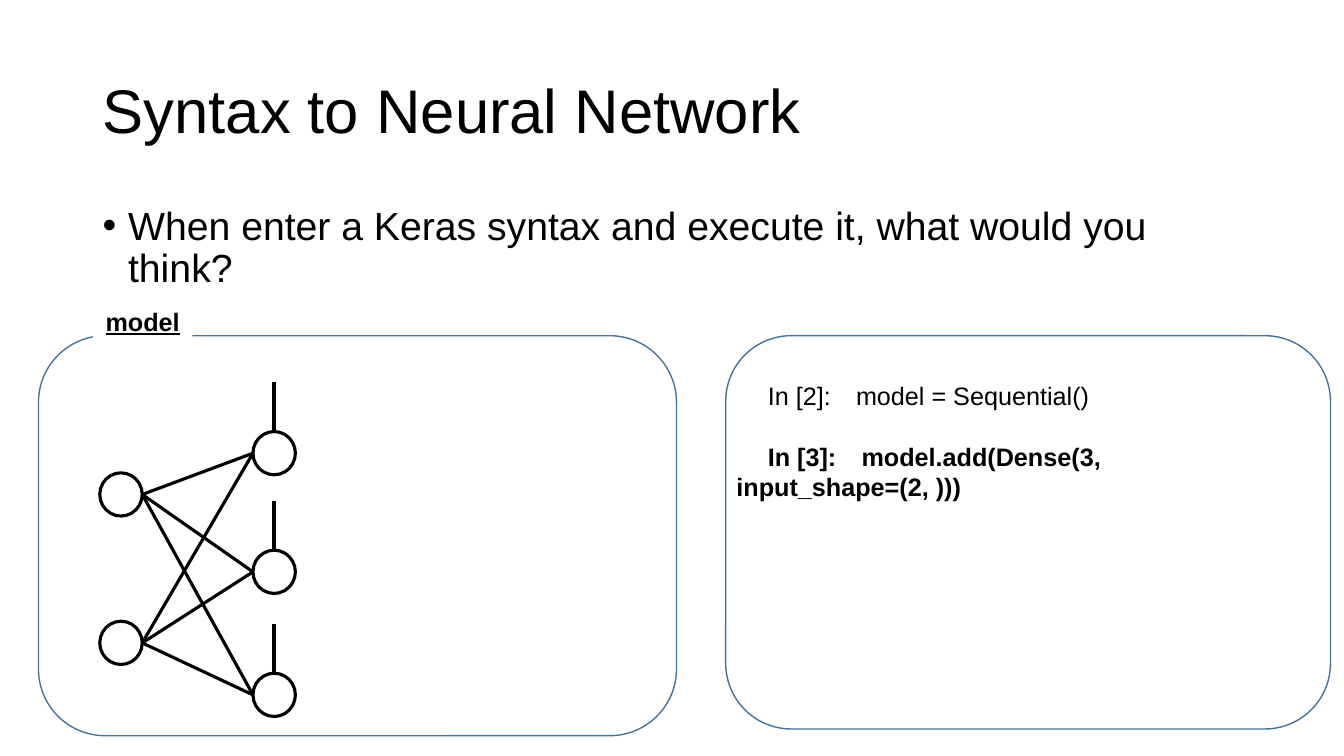
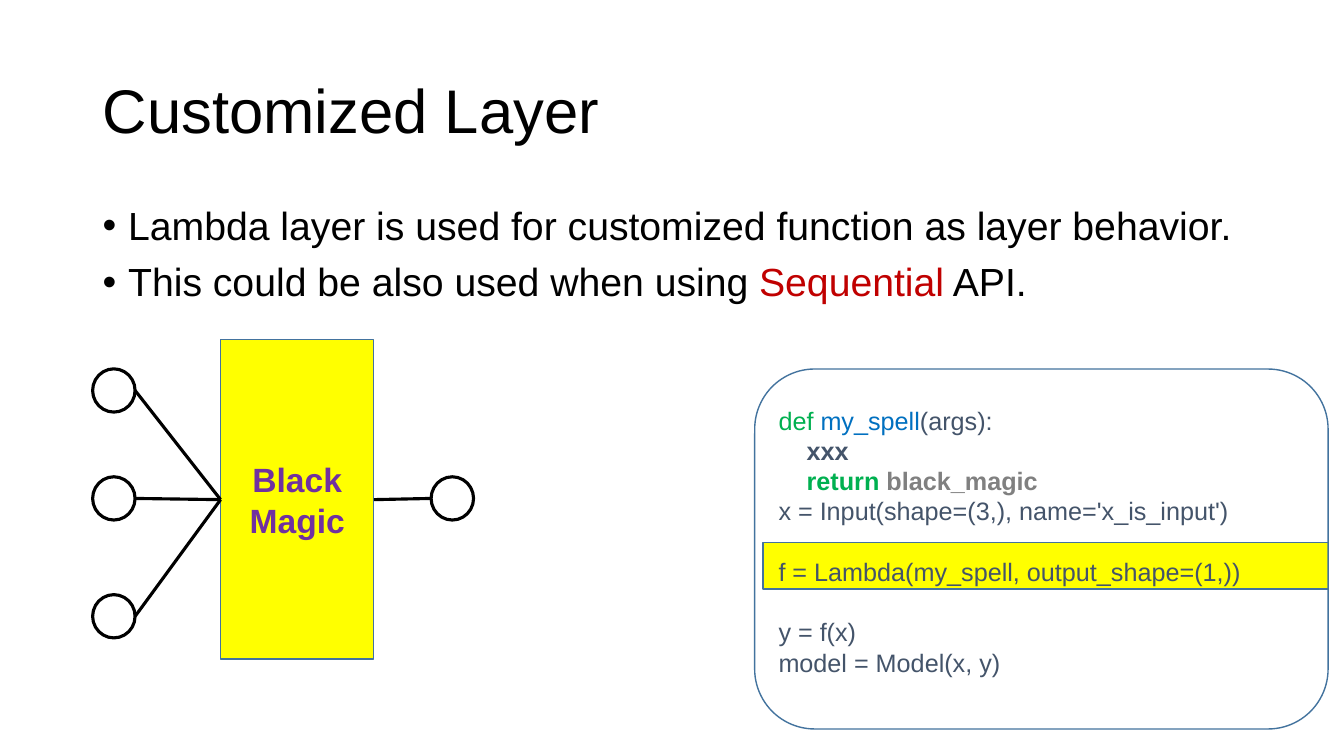
"""Build two slides on network syntax and customized layers."""
from itertools import product
from lxml.etree import SubElement
from pptx import Presentation
from pptx.dml.color import RGBColor
from pptx.enum.shapes import MSO_CONNECTOR as LINE, MSO_SHAPE as KIND
from pptx.enum.text import MSO_ANCHOR as ANCHOR, PP_ALIGN as ALIGN
from pptx.oxml.ns import qn
from pptx.util import Cm, Pt

BLACK = RGBColor(0, 0, 0)
WHITE = RGBColor(255, 255, 255)
EDGE = RGBColor(0x43, 0x73, 0x9E)
YELLOW = RGBColor(255, 255, 0)
PURPLE = RGBColor(0x70, 0x30, 0xA0)
RED = RGBColor(0xC0, 0, 0)
GREEN = RGBColor(0, 0xB0, 0x50)
BLUE = RGBColor(0, 0x70, 0xC0)
SLATE = RGBColor(0x44, 0x54, 0x6A)
GREY = RGBColor(0x80, 0x80, 0x80)
FONT = "Arial"
NODE_W, NODE_H = 1.07, 1.09
STEM = 1.24
ROW = 21.6


def draw(slide, kind, box, fill=None, edge=None, width=1):
    """Add a preset shape with a plain fill and outline."""
    shape = slide.shapes.add_shape(kind, *map(Cm, box))
    shape.shadow.inherit = False
    if fill is None:
        shape.fill.background()
    else:
        shape.fill.solid()
        shape.fill.fore_color.rgb = fill
    if edge is None:
        shape.line.fill.background()
    else:
        shape.line.color.rgb = edge
        shape.line.width = Pt(width)
    return shape


def write(shape, rows, size, align=ALIGN.LEFT):
    """Fill a shape with rows of (text, colour, bold) runs."""
    frame = shape.text_frame
    frame.word_wrap = True
    frame.text = "\n".join("" for row in rows)
    for para, row in zip(frame.paragraphs, rows):
        para.alignment = align
        for text, color, bold in row:
            run = para.add_run()
            run.text = text
            run.font.name = FONT
            run.font.size = Pt(size)
            run.font.bold = bold
            run.font.color.rgb = color
    return frame


deck = Presentation()
deck.slide_width, deck.slide_height = Cm(33.87), Cm(19.05)

pages = [
    ("Syntax to Neural Network", [
        [("When enter a Keras syntax and execute it, what would you think?", BLACK, False)],
    ]),
    ("Customized Layer", [
        [("Lambda layer is used for customized function as layer behavior.", BLACK, False)],
        [("This could be also used when using ", BLACK, False),
         ("Sequential", RED, False), (" API.", BLACK, False)],
    ]),
]
slides = []
for title, points in pages:
    slide = deck.slides.add_slide(deck.slide_layouts[6])
    slides.append(slide)
    head = slide.shapes.add_textbox(Cm(2.34), Cm(1.02), Cm(29.21), Cm(3.68))
    frame = write(head, [[(title, BLACK, False)]], 44)
    frame.vertical_anchor = ANCHOR.MIDDLE
    frame.paragraphs[0].line_spacing = 0.9
    body = slide.shapes.add_textbox(Cm(2.34), Cm(5.08), Cm(29.21), Cm(12.09))
    for para in write(body, points, 28).paragraphs:
        para.line_spacing = 0.9
        para.space_before = Pt(10)
        props = para._p.get_or_add_pPr()
        props.set("marL", str(Cm(0.64)))
        props.set("indent", str(Cm(-0.64)))
        SubElement(props, qn("a:buFont")).set("typeface", FONT)
        SubElement(props, qn("a:buChar")).set("char", "•")
dense, custom = slides

draw(dense, KIND.ROUNDED_RECTANGLE, (18.29, 8.46, 15.24, 9.91), WHITE, EDGE)
draw(dense, KIND.ROUNDED_RECTANGLE, (0.97, 8.46, 16.08, 10.08), WHITE, EDGE)
draw(custom, KIND.RECTANGLE, (19.23, 13.67, 14.25, 1.17), YELLOW, EDGE)
draw(custom, KIND.ROUNDED_RECTANGLE, (19.02, 9.3, 14.45, 9.07), None, EDGE)
magic = draw(custom, KIND.RECTANGLE, (5.56, 8.56, 3.86, 8.05), YELLOW, EDGE)
frame = write(magic, [[("Black", PURPLE, True)], [("Magic", PURPLE, True)]], 24, ALIGN.CENTER)
frame.vertical_anchor = ANCHOR.MIDDLE

inputs = [(3.05, 12.46), (3.05, 16.2)]
units = [(6.91, 11.42), (6.91, 14.41), (6.91, 17.51)]
feeds = [(2.87, 9.84), (2.87, 12.56), (2.87, 15.53)]
result = (11.4, 12.56)
half = NODE_W / 2
links = [((a + half, b), (x - half, y), 2.25) for (a, b), (x, y) in product(inputs, units)]
links += [((x, y - NODE_H / 2 - STEM), (x, y - NODE_H / 2), 3) for x, y in units]
spokes = [((x + half, y), (5.56, 12.59), 2.25) for x, y in feeds]
spokes.append(((result[0] - half, result[1]), (9.42, 12.59), 2.25))

nets = [(dense, inputs + units, links), (custom, feeds + [result], spokes)]
for slide, nodes, lines in nets:
    for x, y in nodes:
        box = (x - half, y - NODE_H / 2, NODE_W, NODE_H)
        draw(slide, KIND.OVAL, box, None, BLACK, 2.25)
    for start, end, width in lines:
        link = slide.shapes.add_connector(LINE.STRAIGHT, *map(Cm, start + end))
        link.line.color.rgb = BLACK
        link.line.width = Pt(width)
        SubElement(link._element.spPr, qn("a:effectLst"))

label = draw(dense, KIND.RECTANGLE, (2.34, 7.59, 2.51, 1.02), WHITE)
frame = write(label, [[("model", BLACK, True)]], 18, ALIGN.CENTER)
frame.vertical_anchor = ANCHOR.TOP
frame.paragraphs[0].runs[0].font.underline = True

cells = [
    [("In [2]:\u3000model = Sequential()", BLACK, False)],
    [("In [3]:\u3000model.add(Dense(3, input_shape=(2, )))", BLACK, True)],
]
code = dense.shapes.add_textbox(Cm(18.31), Cm(9.47), Cm(15.19), Cm(3.33))
frame = write(code, cells, 18)
for para in frame.paragraphs:
    para._p.get_or_add_pPr().set("indent", str(Cm(0.79)))
frame.paragraphs[1].space_before = Pt(ROW)

spell = [
    (0.35, 0, [("def ", GREEN, False), ("my_spell", BLUE, False), ("(args):", SLATE, False)]),
    (1.06, 0, [("xxx", SLATE, True)]),
    (1.06, 0, [("return ", GREEN, True), ("black_magic", GREY, True)]),
    (0.35, 0, [("x = Input(shape=(3,), name='x_is_input')", SLATE, False)]),
    (0.35, ROW, [("f = Lambda(my_spell, output_shape=(1,))", SLATE, False)]),
    (0.35, ROW, [("y = f(x)", SLATE, False)]),
    (0.35, 0, [("model = Model(x, y)", SLATE, False)]),
]
code = custom.shapes.add_textbox(Cm(19.02), Cm(10.08), Cm(14.86), Cm(7.19))
frame = write(code, [row for _, _, row in spell], 18)
for para, (inset, gap, _) in zip(frame.paragraphs, spell):
    para._p.get_or_add_pPr().set("marL", str(Cm(inset)))
    para.space_before = Pt(gap)

deck.save("out.pptx")
